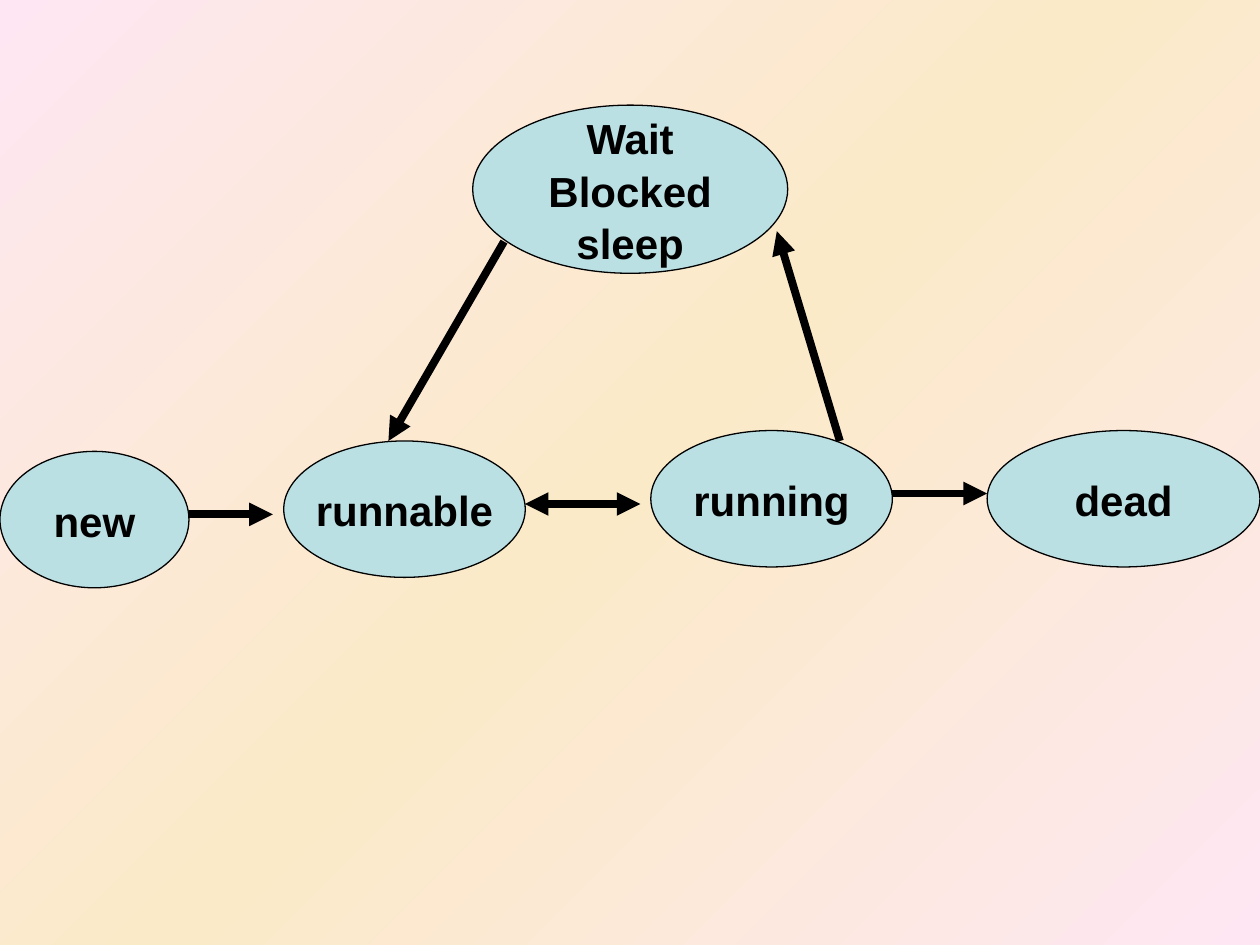
from copy import deepcopy
from dataclasses import dataclass

from lxml import etree
from pptx import Presentation
from pptx.dml.color import RGBColor
from pptx.enum.shapes import MSO_CONNECTOR, MSO_SHAPE
from pptx.enum.text import MSO_ANCHOR, PP_ALIGN
from pptx.oxml.ns import qn
from pptx.slide import Slide
from pptx.util import Cm, Pt

ELLIPSE = MSO_SHAPE.OVAL
STRAIGHT = MSO_CONNECTOR.STRAIGHT
CENTER = PP_ALIGN.CENTER
MIDDLE = MSO_ANCHOR.MIDDLE

PINK = RGBColor(0xFE, 0xE7, 0xF2)
CREAM = RGBColor(0xFB, 0xEA, 0xC7)
AQUA = RGBColor(0xBB, 0xE0, 0xE3)
BLACK = RGBColor(0x00, 0x00, 0x00)

BLANK_LAYOUT = 6
ROW_HEIGHT = 2.75
LABEL_FONT = {"name": "Arial", "size": Pt(24), "bold": True}
LABEL_PARAGRAPH = {"alignment": CENTER, "line_spacing": 1.04}


@dataclass(frozen=True)
class State:
    label: str
    left: float
    top: float
    width: float
    height: float = ROW_HEIGHT


@dataclass(frozen=True)
class Transition:
    start: tuple[float, float]
    end: tuple[float, float]
    two_way: bool = False


STATES = [
    State("new", 0, 9.1, 3.81),
    State("dead", 19.9, 8.68, 5.5),
    State("Wait\nBlocked\nsleep", 9.53, 2.12, 6.35, 3.39),
    State("running", 13.12, 8.68, 4.87),
    State("runnable", 5.72, 8.89, 4.87),
]

TRANSITIONS = [
    Transition((3.81, 10.37), (5.5, 10.37)),
    Transition((10.58, 10.16), (12.91, 10.16), two_way=True),
    Transition((17.99, 9.95), (19.9, 9.95)),
    Transition((16.93, 8.89), (15.66, 4.66)),
    Transition((10.16, 4.87), (7.83, 8.89)),
]


def paint_background(slide: Slide) -> None:
    fill = slide.background.fill
    fill.gradient()
    fill.gradient_angle = 135
    stop_list = slide.element.find(f".//{qn('a:gsLst')}")
    stop_list.insert(1, deepcopy(stop_list[0]))
    colors = [(0, PINK), (0.5, CREAM), (1, PINK)]
    for stop, (position, color) in zip(fill.gradient_stops, colors):
        stop.position = position
        stop.color.rgb = color


def draw_state(slide: Slide, state: State) -> None:
    bounds = (state.left, state.top, state.width, state.height)
    shape = slide.shapes.add_shape(ELLIPSE, *map(Cm, bounds))
    shape.shadow.inherit = False
    shape.fill.solid()
    shape.fill.fore_color.rgb = AQUA
    shape.line.color.rgb = BLACK
    shape.line.width = Pt(0.75)
    text_frame = shape.text_frame
    text_frame.text = state.label
    text_frame.word_wrap = False
    text_frame.vertical_anchor = MIDDLE
    for paragraph in text_frame.paragraphs:
        for name, value in LABEL_PARAGRAPH.items():
            setattr(paragraph, name, value)
        for run in paragraph.runs:
            for name, value in LABEL_FONT.items():
                setattr(run.font, name, value)
            run.font.color.rgb = BLACK


def draw_transition(slide: Slide, transition: Transition) -> None:
    points = transition.start + transition.end
    connector = slide.shapes.add_connector(STRAIGHT, *map(Cm, points))
    connector.line.color.rgb = BLACK
    connector.line.width = Pt(4.5)
    properties = connector.element.spPr
    line = properties.find(qn("a:ln"))
    arrow_ends = ["a:headEnd", "a:tailEnd"] if transition.two_way else ["a:tailEnd"]
    for arrow_end in arrow_ends:
        etree.SubElement(line, qn(arrow_end), type="triangle")
    etree.SubElement(properties, qn("a:effectLst"))


def main() -> None:
    presentation = Presentation()
    presentation.slide_width = Cm(25.4)
    presentation.slide_height = Cm(19.05)
    slide = presentation.slides.add_slide(presentation.slide_layouts[BLANK_LAYOUT])
    paint_background(slide)
    for state in STATES:
        draw_state(slide, state)
    for transition in TRANSITIONS:
        draw_transition(slide, transition)
    presentation.save("out.pptx")


if __name__ == "__main__":
    main()
